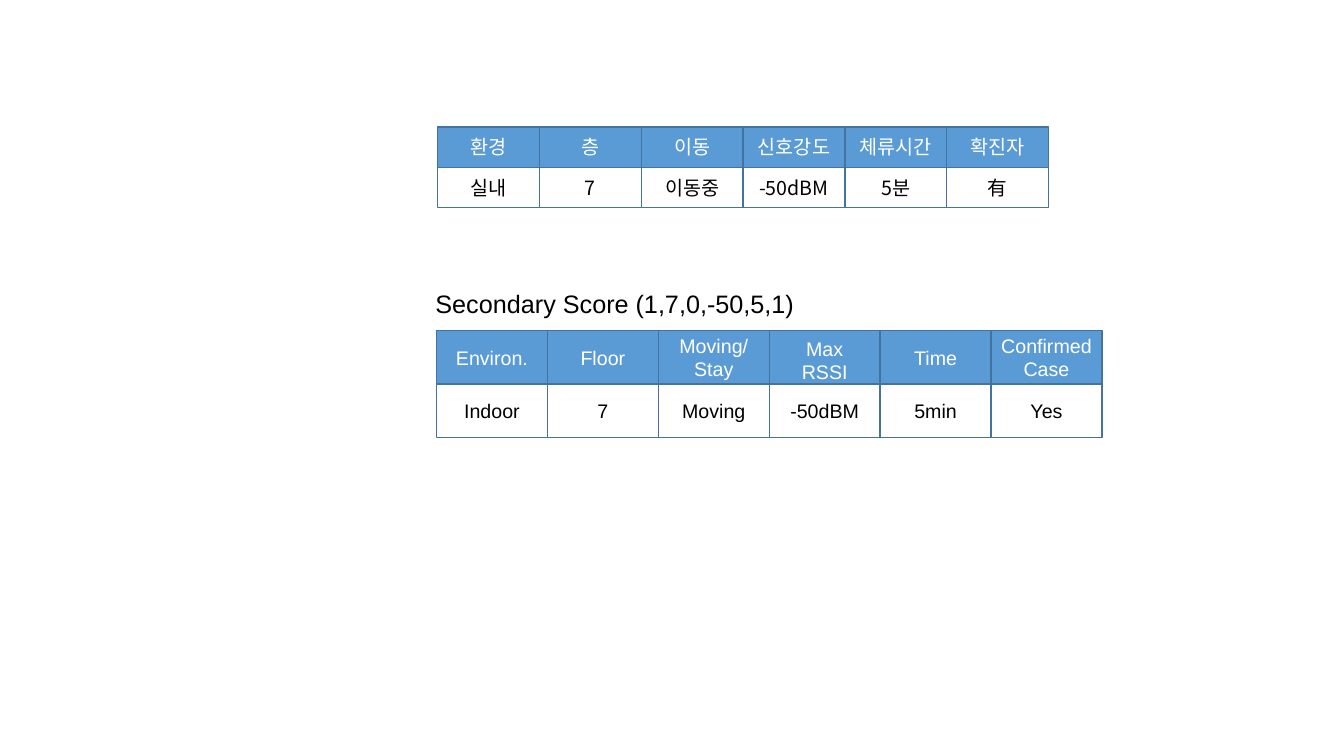
"""Build a slide with a Korean and an English grid of secondary score inputs."""
import pptx
import pptx.util
import pptx.dml.color
import pptx.enum.shapes
import pptx.enum.text
import pptx.oxml
import pptx.oxml.ns
from pptx.util import Inches

BLUE, BORDER, WHITE, BLACK = "5B9BD5", "43739E", "FFFFFF", "000000"


def rgb(value):
    """Turn a hex string into a colour."""
    return pptx.dml.color.RGBColor.from_string(value)


def style_run(r, font, size, color):
    """Set the Latin and East Asian font, size and colour of a run."""
    r.font.name = font
    r.font.size = pptx.util.Pt(size)
    r.font.color.rgb = rgb(color)
    ea = pptx.oxml.parse_xml(
        f'<a:ea {pptx.oxml.ns.nsdecls("a")} typeface="{font}"/>')
    r.font._element.find(pptx.oxml.ns.qn("a:latin")).addnext(ea)


def add_cell(group, left, top, width, height, text, font, fill, color):
    """Place one outlined cell with centred text."""
    sp = group.shapes.add_shape(
        pptx.enum.shapes.MSO_SHAPE.RECTANGLE,
        Inches(left), Inches(top), Inches(width), Inches(height))
    sp.shadow.inherit = False
    sp.fill.solid()
    sp.fill.fore_color.rgb = rgb(fill)
    sp.line.color.rgb = rgb(BORDER)
    sp.line.width = pptx.util.Pt(1)
    tf = sp.text_frame
    tf.text = text
    tf.word_wrap = True
    tf.vertical_anchor = pptx.enum.text.MSO_ANCHOR.MIDDLE
    tf.margin_left = tf.margin_right = Inches(0.05)
    tf.margin_top = tf.margin_bottom = Inches(0.02)
    for p in tf.paragraphs:
        p.alignment = pptx.enum.text.PP_ALIGN.CENTER
        for r in p.runs:
            style_run(r, font, 14, color)
    return sp


def add_score_grid(s, left, top, col_width, row_height, font, header, values):
    """Place a blue header row over a white value row and return the headers."""
    group = s.shapes.add_group_shape()
    headers = [
        add_cell(group, left + i * col_width, top, col_width, row_height,
                 text, font, BLUE, WHITE)
        for i, text in enumerate(header)]
    for i, text in enumerate(values):
        add_cell(group, left + i * col_width, top + row_height, col_width,
                 row_height, text, font, WHITE, BLACK)
    return headers


def add_heading(s, left, top, width, height, text):
    """Place the heading above the English grid."""
    tf = s.shapes.add_textbox(
        Inches(left), Inches(top), Inches(width), Inches(height)).text_frame
    tf.text = text
    tf.word_wrap = False
    tf.auto_size = pptx.enum.text.MSO_AUTO_SIZE.SHAPE_TO_FIT_TEXT
    style_run(tf.paragraphs[0].runs[0], "Arial", 18, BLACK)


prs = pptx.Presentation()
prs.slide_width, prs.slide_height = Inches(13.33), Inches(7.5)
s = prs.slides.add_slide(prs.slide_layouts[6])
add_score_grid(
    s, 4.34, 1.26, 1.01, 0.4, "Noto Sans CJK KR",
    ["환경", "층", "이동", "신호강도", "체류시간", "확진자"],
    ["실내", "7", "이동중", "-50dBM", "5분", "有"])
english_headers = add_score_grid(
    s, 4.33, 3.28, 1.1, 0.53, "Arial",
    ["Environ.", "Floor", "Moving/\nStay", "Max\nRSSI", "Time", "Confirmed\nCase"],
    ["Indoor", "7", "Moving", "-50dBM", "5min", "Yes"])
max_rssi = english_headers[3]
max_rssi.height = Inches(0.59)
add_heading(s, 4.22, 2.81, 3.79, 0.4, "Secondary Score (1,7,0,-50,5,1)")
prs.save("out.pptx")
